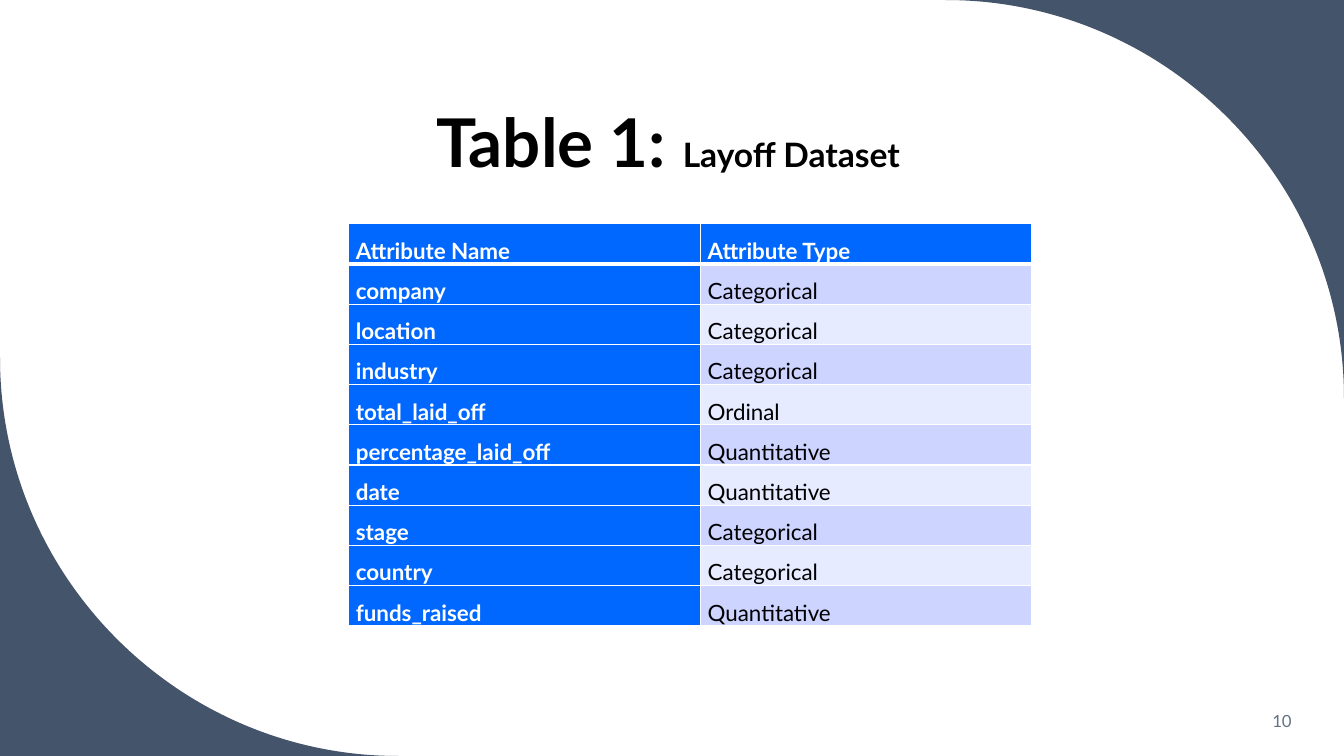
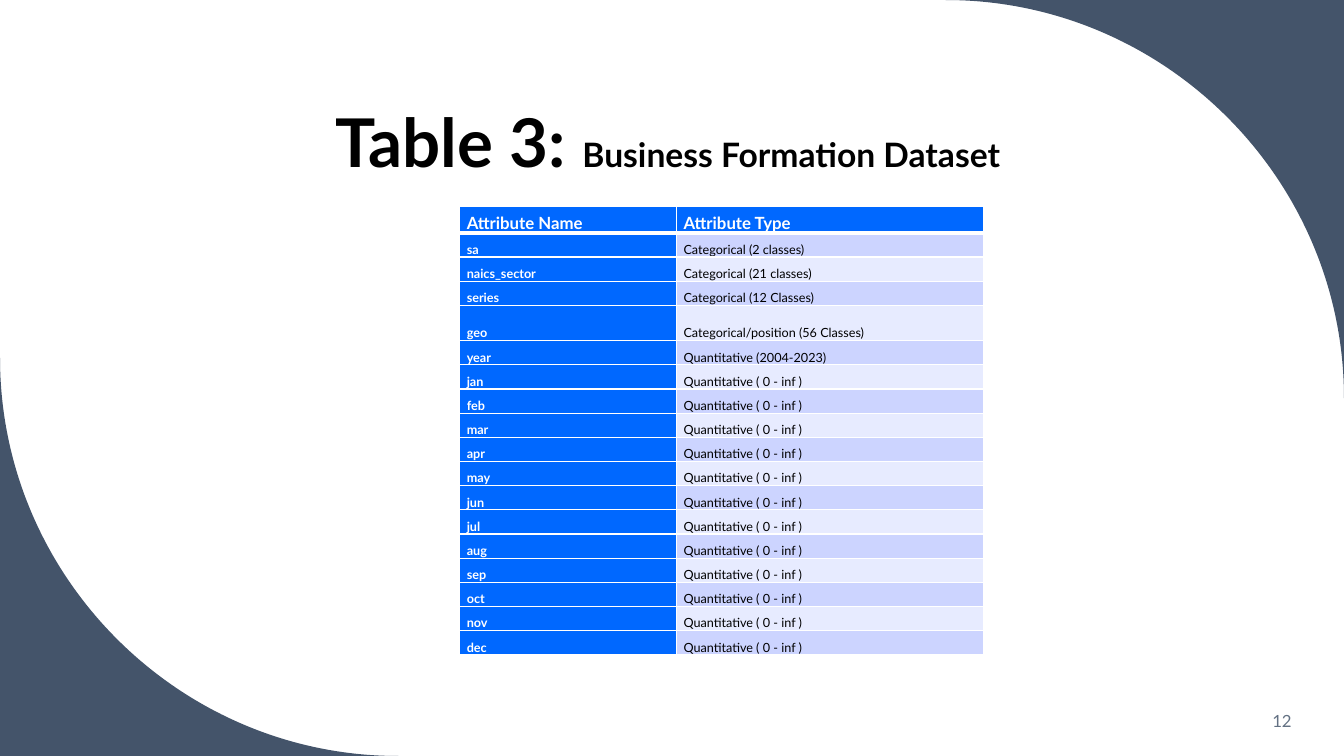
from pptx import Presentation
from pptx.dml.color import RGBColor
from pptx.enum.text import MSO_ANCHOR, PP_ALIGN
from pptx.oxml.ns import qn
from pptx.util import Inches, Pt
from lxml import etree

BOTTOM, MIDDLE = MSO_ANCHOR.BOTTOM, MSO_ANCHOR.MIDDLE
CENTER, RIGHT = PP_ALIGN.CENTER, PP_ALIGN.RIGHT

WIDTH, HEIGHT = 13.33, 7.5
CORNER_RADIUS = 3.95
ARC_HANDLE = 0.55  # handle length of a quarter circle, as a share of its radius
TITLE_BOX = (1.28, 0.41, 10.69, 1.45)
NUMBER_BOX = (11.1, 6.95, 1.81, 0.4)

FONT = "Lato"
BLACK, WHITE = "000000", "FFFFFF"
SLATE, GREY = "44546A", "637183"
BLUE = "0068FF"
BANDS = ("CCD4FF", "E7EBFF")

HEADER = ("Attribute Name", "Attribute Type")
LAYOFF_ROWS = [
    ("company", "Categorical"),
    ("location", "Categorical"),
    ("industry", "Categorical"),
    ("total_laid_off", "Ordinal"),
    ("percentage_laid_off", "Quantitative"),
    ("date", "Quantitative"),
    ("stage", "Categorical"),
    ("country", "Categorical"),
    ("funds_raised", "Quantitative"),
]
MONTHS = "jan feb mar apr may jun jul aug sep oct nov dec".split()
FORMATION_ROWS = [
    ("sa", "Categorical (2 classes)"),
    ("naics_sector", "Categorical (21 classes)"),
    ("series", "Categorical (12 Classes)"),
    ("geo", "Categorical/position (56 Classes)"),
    ("year", "Quantitative (2004-2023)"),
] + [(month, "Quantitative ( 0 - inf )") for month in MONTHS]


def color(hex_text):
    return RGBColor.from_string(hex_text)


def paint(target, hex_text):
    target.fill.solid()
    target.fill.fore_color.rgb = color(hex_text)


def add_span(para, text, size, hex_text, bold=False):
    span = para.add_run()
    span.text = text
    span.font.name = FONT
    span.font.size = Pt(size)
    span.font.bold = bold
    span.font.color.rgb = color(hex_text)


def add_text(page, area, spans, align, anchor, line_spacing=1.0):
    """Place one paragraph; each span is (text, size, colour, bold)."""
    box = page.shapes.add_textbox(*map(Inches, area))
    frame = box.text_frame
    frame.word_wrap = True
    frame.vertical_anchor = anchor
    para = frame.paragraphs[0]
    para.alignment = align
    para.line_spacing = line_spacing
    for span in spans:
        add_span(para, *span)


def round_last_edge(shape):
    """Turn the edge opposite the first point into a quarter circle."""
    points = list(shape._element.iter(qn("a:pt")))
    corner, start, end = [(int(point.get("x")), int(point.get("y")))
                          for point in points[:3]]
    edge = points[2].getparent()
    curve = etree.Element(qn("a:cubicBezTo"))
    handles = [tuple(round(a + ARC_HANDLE * (b - a)) for a, b in zip(tip, corner))
               for tip in (start, end)]
    for x, y in handles + [end]:
        etree.SubElement(curve, qn("a:pt"), x=str(x), y=str(y))
    edge.getparent().replace(edge, curve)


def add_corner(page, corner_x, corner_y, side_x, side_y):
    """Fill outside a quarter circle; sides (-1 or 1) point to the corner."""
    builder = page.shapes.build_freeform(Inches(corner_x), Inches(corner_y))
    builder.add_line_segments([
        (Inches(corner_x - side_x * CORNER_RADIUS), Inches(corner_y)),
        (Inches(corner_x), Inches(corner_y - side_y * CORNER_RADIUS)),
    ], close=True)
    corner = builder.convert_to_shape()
    round_last_edge(corner)
    corner.shadow.inherit = False
    corner.line.fill.background()
    paint(corner, SLATE)


def add_borders(cell, top, bottom):
    """Draw white borders; must run before the cell is filled."""
    properties = cell._tc.get_or_add_tcPr()
    for tag, points in (("a:lnL", 1), ("a:lnR", 1), ("a:lnT", top), ("a:lnB", bottom)):
        line = etree.SubElement(properties, qn(tag), w=str(Pt(points)))
        fill = etree.SubElement(line, qn("a:solidFill"))
        etree.SubElement(fill, qn("a:srgbClr"), val=WHITE)


def style_cell(cell, text, size, row, column):
    is_label = row == 0 or column == 0
    cell.margin_left = cell.margin_right = Inches(0.07)
    cell.margin_top = cell.margin_bottom = 0
    cell.vertical_anchor = BOTTOM
    add_borders(cell, top=3 if row == 1 else 1, bottom=3 if row == 0 else 1)
    paint(cell, BLUE if is_label else BANDS[(row - 1) % 2])
    add_span(cell.text_frame.paragraphs[0], text, size,
             WHITE if is_label else BLACK, is_label)


def add_attribute_table(page, left, top, columns, heights, rows, sizes):
    """Place a table; sizes are the text sizes of header and body."""
    content = [HEADER] + rows
    frame = page.shapes.add_table(
        len(content), len(columns), Inches(left), Inches(top),
        Inches(sum(columns)), Inches(sum(heights)))
    table = frame.table
    for column, width in zip(table.columns, columns):
        column.width = Inches(width)
    for row, (texts, height) in enumerate(zip(content, heights)):
        table.rows[row].height = Inches(height)
        for column, text in enumerate(texts):
            style_cell(table.cell(row, column), text, sizes[min(row, 1)], row, column)


def add_table_page(deck, label, name, number, **table):
    page = deck.slides.add_slide(deck.slide_layouts[6])
    paint(page.background, WHITE)
    add_corner(page, WIDTH, 0, 1, -1)
    add_corner(page, 0, HEIGHT, -1, 1)
    add_text(page, TITLE_BOX, [(label, 48, BLACK, True), (name, 24, BLACK, True)],
             CENTER, BOTTOM, 0.9)
    add_text(page, NUMBER_BOX, [(number, 12, GREY)], RIGHT, MIDDLE)
    add_attribute_table(page, **table)


def main():
    deck = Presentation()
    deck.slide_width, deck.slide_height = Inches(WIDTH), Inches(HEIGHT)
    add_table_page(
        deck, "Table 1: ", "Layoff Dataset", "10",
        left=3.46, top=2.22, columns=(3.49, 3.28), heights=[3.99 / 10] * 10,
        rows=LAYOFF_ROWS, sizes=(16, 16))
    add_table_page(
        deck, "Table 3: ", "Business Formation Dataset", "12",
        left=4.56, top=2.05, columns=(2.15, 3.05),
        heights=[0.26] + [0.24] * 3 + [0.35] + [0.24] * 13,
        rows=FORMATION_ROWS, sizes=(12, 9))
    deck.save("out.pptx")


if __name__ == "__main__":
    main()
